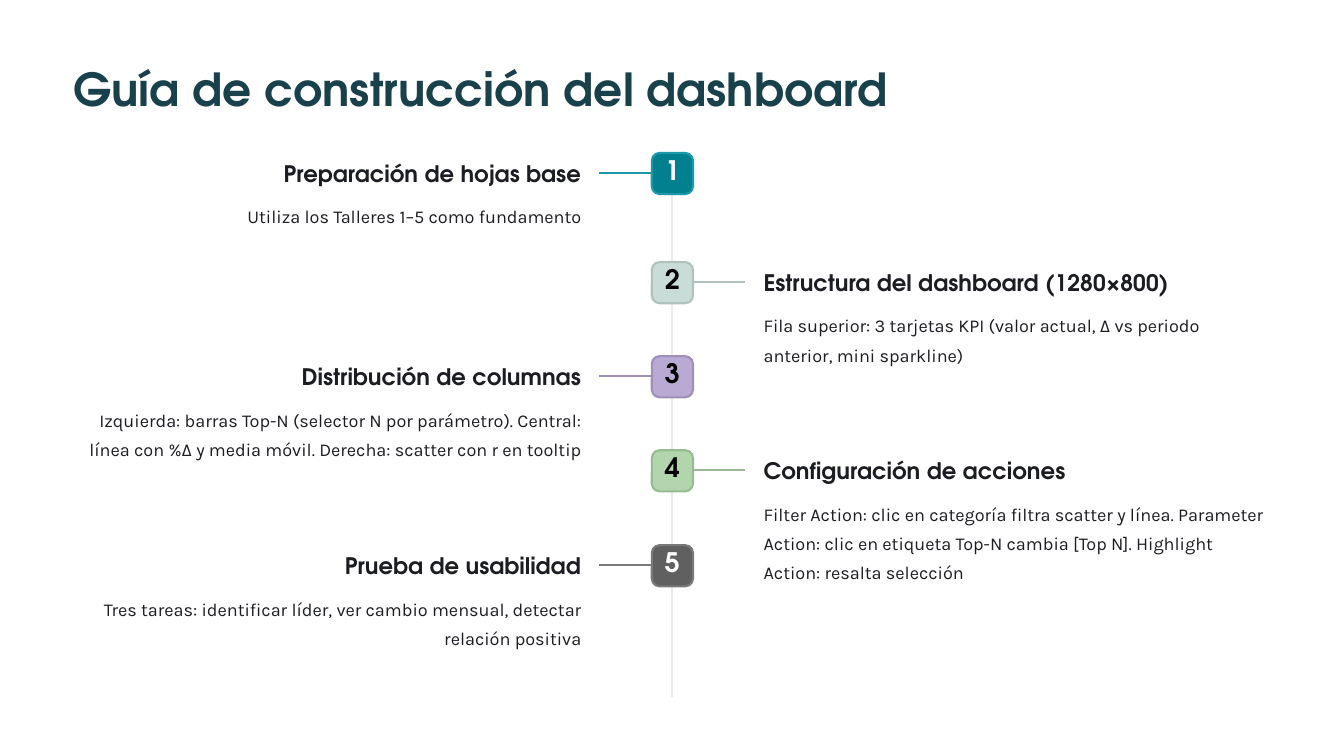
from lxml.etree import SubElement
from pptx import Presentation
from pptx.dml.color import RGBColor
from pptx.enum.shapes import MSO_CONNECTOR as Connector, MSO_SHAPE as Shape
from pptx.enum.text import MSO_ANCHOR as Anchor, MSO_AUTO_SIZE as AutoSize, PP_ALIGN as Align
from pptx.oxml.ns import qn
from pptx.util import Emu, Pt

HEADING_FONT, BODY_FONT = "TeX Gyre Adventor", "Karla"
TITLE_COLOR, TEXT_COLOR, SPINE_COLOR = "19414B", "1C1D22", "EBEBEB"

LEFT, RIGHT, TEXT_WIDTH = 87, 909, 605
CENTER, BADGE, BRANCH = 800, 49, 87

# top, fill, line, number colour, heading, body, body lines
STEPS = [
    (182, "028090", "1B99A9", "FFFFFF", "Preparación de hojas base",
     "Utiliza los Talleres 1–5 como fundamento", 1),
    (312, "CADCD8", "B0C2BE", "000000", "Estructura del dashboard (1280×800)",
     "Fila superior: 3 tarjetas KPI (valor actual, Δ vs periodo anterior, mini sparkline)", 2),
    (424, "B9AAD4", "9F90BA", "000000", "Distribución de columnas",
     "Izquierda: barras Top-N (selector N por parámetro). Central: línea con %Δ y media móvil. "
     "Derecha: scatter con r en tooltip", 2),
    (536, "B2D5AD", "98BB93", "000000", "Configuración de acciones",
     "Filter Action: clic en categoría filtra scatter y línea. Parameter Action: clic en etiqueta "
     "Top-N cambia [Top N]. Highlight Action: resalta selección", 3),
    (649, "606060", "797979", "FFFFFF", "Prueba de usabilidad",
     "Tres tareas: identificar líder, ver cambio mensual, detectar relación positiva", 2),
]


def px(length):
    """Convert px, 100 to the inch, into EMU."""
    return Emu(length * 9144)


def color(hex_text):
    return RGBColor.from_string(hex_text)


class Timeline:
    """Style and drawing methods for the current page."""

    def __init__(self, page):
        self.page = page

    def fill_text(self, shape, text, size, spacing, font=HEADING_FONT, ink=TEXT_COLOR,
                  bold=True, align=Align.LEFT, inset=0):
        frame = shape.text_frame
        frame.auto_size = AutoSize.NONE
        frame.word_wrap = True
        frame.vertical_anchor = Anchor.TOP
        frame.margin_left = frame.margin_right = frame.margin_bottom = 0
        frame.margin_top = px(inset)
        para = frame.paragraphs[0]
        para.alignment = align
        para.line_spacing = Pt(spacing)
        para.space_before = Pt(0)
        span = para.add_run()
        span.text = text
        span.font.name = font
        span.font.size = Pt(size)
        span.font.bold = bold
        span.font.color.rgb = color(ink)

    def title(self, text, left, top, width, height):
        box = self.page.shapes.title
        box.left, box.top, box.width, box.height = map(px, (left, top, width, height))
        self.fill_text(box, text, 39, 48.5, ink=TITLE_COLOR)

    def text(self, text, left, top, width, height, size, spacing, **style):
        box = self.page.shapes.add_textbox(*map(px, (left, top, width, height)))
        self.fill_text(box, text, size, spacing, **style)

    def line(self, x1, y1, x2, y2, ink):
        line = self.page.shapes.add_connector(Connector.STRAIGHT, *map(px, (x1, y1, x2, y2)))
        line.line.color.rgb = color(ink)
        line.line.width = Pt(1.8)
        SubElement(line._element.spPr, qn("a:effectLst"))

    def badge(self, number, top, fill, edge, ink):
        badge = self.page.shapes.add_shape(
            Shape.ROUNDED_RECTANGLE, *map(px, (CENTER - BADGE // 2, top, BADGE, BADGE)))
        badge.adjustments[0] = 0.19
        badge.shadow.inherit = False
        badge.fill.solid()
        badge.fill.fore_color.rgb = color(fill)
        badge.line.color.rgb = color(edge)
        badge.line.width = Pt(1.8)
        self.fill_text(badge, str(number), 23, 23, ink=ink, align=Align.CENTER, inset=4)

    def step(self, number, top, fill, edge, ink, heading, body, lines):
        """Draw one step; odd numbers go left of the spine, even ones right."""
        on_left = number % 2 == 1
        side = -1 if on_left else 1
        left = LEFT if on_left else RIGHT
        align = Align.RIGHT if on_left else Align.LEFT
        middle = top + BADGE // 2
        self.line(CENTER + side * (BADGE // 2), middle, CENTER + side * BRANCH, middle, edge)
        self.badge(number, top, fill, edge, ink)
        self.text(heading, left, top + 7, TEXT_WIDTH, 34, 19.5, 24, align=align)
        self.text(body, left, top + 54, TEXT_WIDTH, 35 * lines, 15.5, 25,
                  font=BODY_FONT, bold=False, align=align)


def main():
    deck = Presentation()
    deck.slide_width, deck.slide_height = px(1600), px(900)
    timeline = Timeline(deck.slides.add_slide(deck.slide_layouts[5]))
    timeline.title("Guía de construcción del dashboard", LEFT, 70, 1200, 68)
    timeline.line(CENTER, 182, CENTER, 830, SPINE_COLOR)
    for number, step in enumerate(STEPS, 1):
        timeline.step(number, *step)
    deck.save("out.pptx")


if __name__ == "__main__":
    main()
